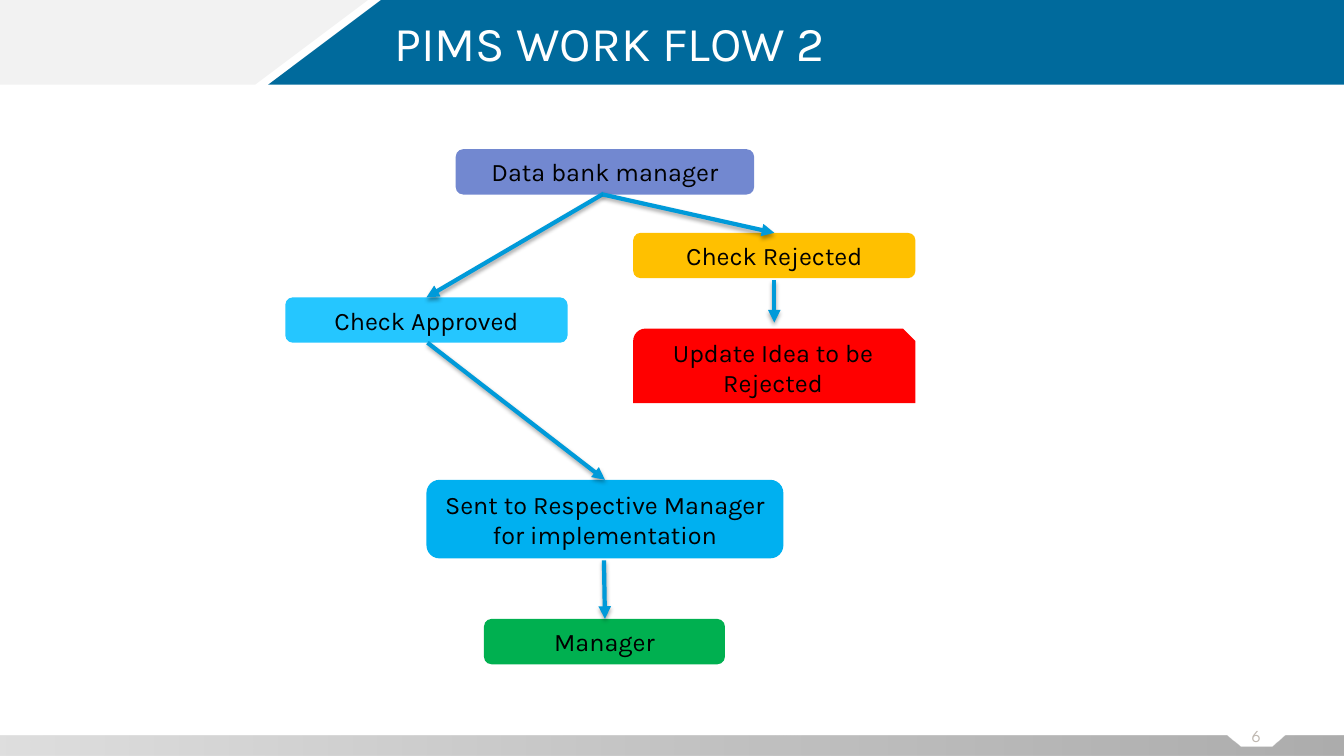
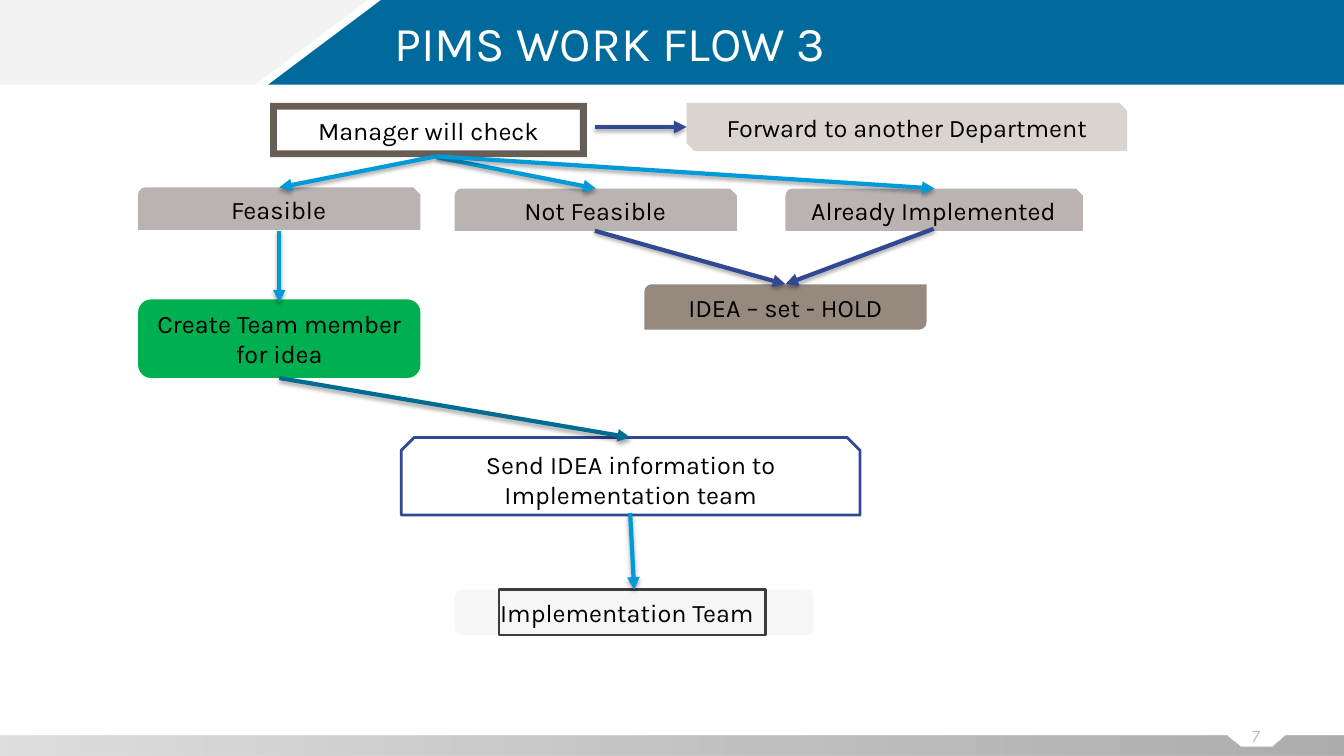
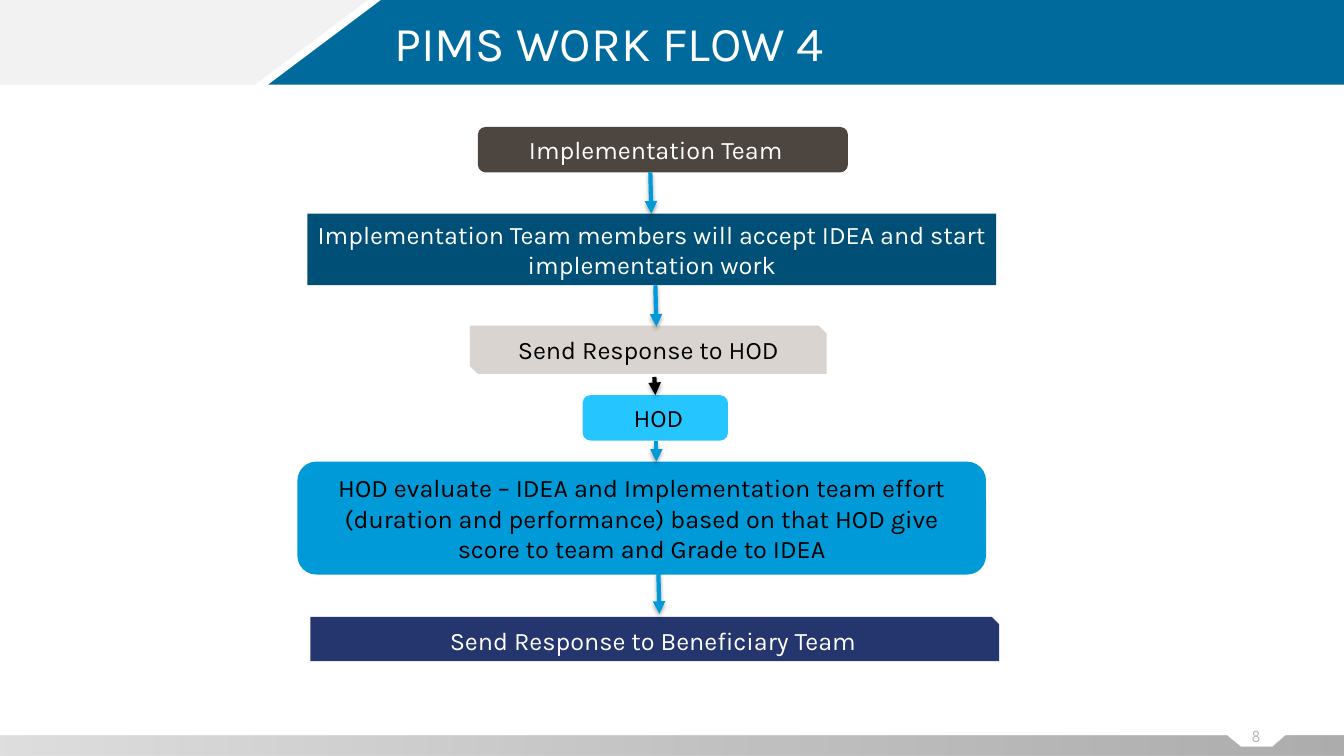
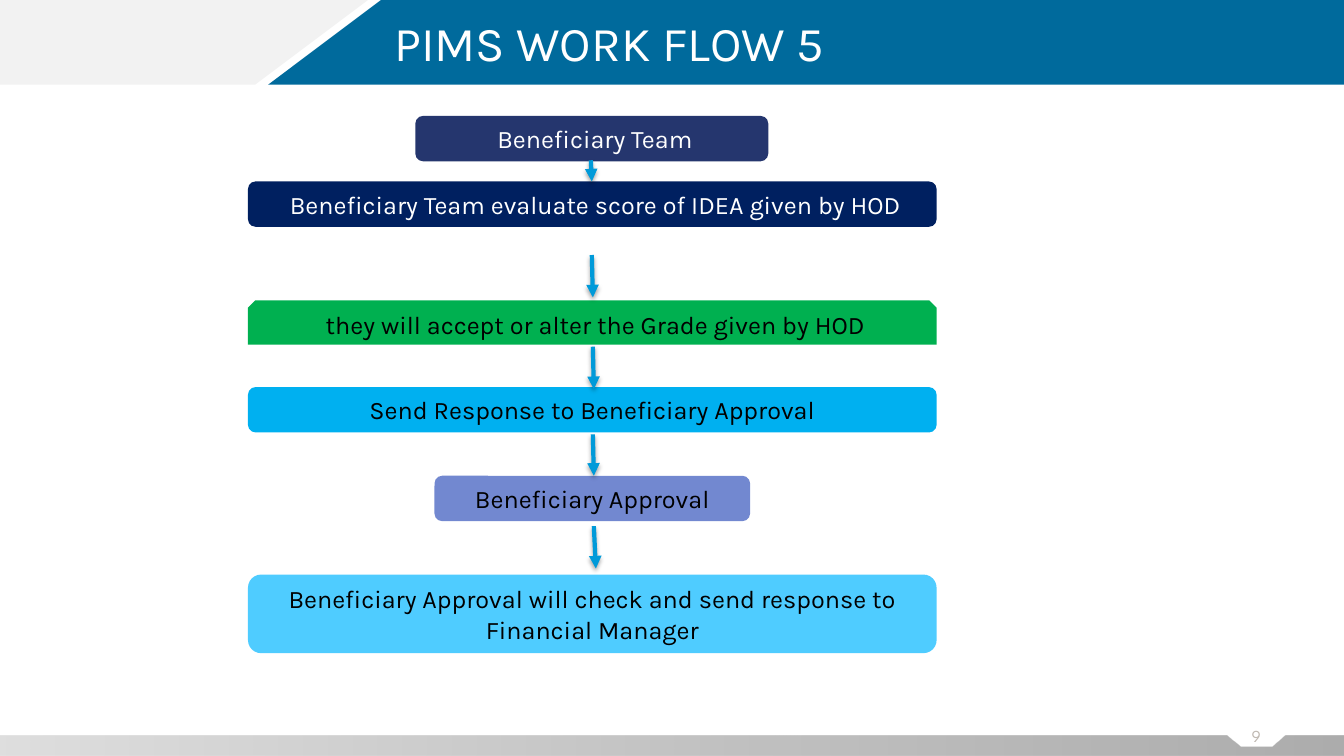
from dataclasses import dataclass

from pptx import Presentation
from pptx.dml.color import RGBColor
from pptx.enum.shapes import MSO_CONNECTOR, MSO_SHAPE as Preset
from pptx.enum.text import MSO_ANCHOR, MSO_AUTO_SIZE, PP_ALIGN
from pptx.oxml import parse_xml
from pptx.oxml.ns import nsdecls, qn
from pptx.util import Inches, Pt


@dataclass(frozen=True)
class Theme:
    body_font: str = "Karla"
    number_font: str = "League Spartan"
    title_size: float = 34.7
    body_size: float = 18
    number_size: float = 12
    arrow_width: float = 3
    outline_width: float = 2
    white: str = "FFFFFF"
    black: str = "000000"
    header: str = "006A9C"
    header_tab: str = "F2F2F2"
    number: str = "BFB8B1"
    footer_dark: str = "595959"
    footer_middle: str = "808080"
    footer_light: str = "BFBFBF"
    arrow: str = "009AD9"
    teal: str = "006C92"
    indigo: str = "314893"
    deep_indigo: str = "25366E"
    periwinkle: str = "7288D0"
    navy: str = "002060"
    deep_blue: str = "004F76"
    blue: str = "00B0F0"
    cyan: str = "25C6FF"
    pale_cyan: str = "4FCCFF"
    green: str = "00B050"
    amber: str = "FFC000"
    red: str = "FF0000"
    brown: str = "675E55"
    dark_brown: str = "4D4640"
    taupe: str = "968A7E"
    mauve: str = "BBB2B2"
    sand: str = "D9D4D0"
    mist: str = "F6F6F6"
    charcoal: str = "3C3C3C"


theme = Theme()


def add_box(page, preset, place, text, fill, color=theme.black, outline=None, nudge=0):
    box = page.shapes.add_shape(preset, *map(Inches, place))
    box.shadow.inherit = False
    if fill:
        box.fill.solid()
        box.fill.fore_color.rgb = RGBColor.from_string(fill)
    else:
        box.fill.background()
    if outline:
        box.line.color.rgb = RGBColor.from_string(outline)
        box.line.width = Pt(theme.outline_width)
    else:
        box.line.fill.background()
    if text:
        frame = box.text_frame
        frame.word_wrap = True
        frame.margin_left = Inches(0.1 + max(2 * nudge, 0))
        frame.margin_right = Inches(0.1 + max(-2 * nudge, 0))
        para = frame.paragraphs[0]
        para.alignment = PP_ALIGN.CENTER
        span = para.add_run()
        span.text = text
        span.font.name = theme.body_font
        span.font.size = Pt(theme.body_size)
        span.font.color.rgb = RGBColor.from_string(color)


def add_arrow(page, start, end, color=theme.arrow):
    arrow = page.shapes.add_connector(MSO_CONNECTOR.STRAIGHT, *map(Inches, start + end))
    arrow.line.color.rgb = RGBColor.from_string(color)
    arrow.line.width = Pt(theme.arrow_width)
    properties = arrow.element.spPr
    properties.find(qn("a:ln")).append(parse_xml(f'<a:tailEnd {nsdecls("a")} type="triangle"/>'))
    properties.append(parse_xml(
        f'<a:effectLst {nsdecls("a")}><a:outerShdw blurRad="{Pt(3.1)}" dist="{Pt(1.8)}" '
        f'dir="5400000" rotWithShape="0"><a:srgbClr val="{theme.black}">'
        '<a:alpha val="35000"/></a:srgbClr></a:outerShdw></a:effectLst>'))


flows = [
    {
        "title": "PIMS WORK FLOW 2",
        "boxes": [
            (Preset.ROUNDED_RECTANGLE, (4.52, 1.48, 2.96, 0.45), "Data bank manager", theme.periwinkle),
            (Preset.ROUNDED_RECTANGLE, (2.83, 2.95, 2.8, 0.45), "Check Approved", theme.cyan),
            (Preset.ROUNDED_RECTANGLE, (6.28, 2.31, 2.8, 0.45), "Check Rejected", theme.amber),
            (Preset.ROUNDED_RECTANGLE, (4.23, 4.76, 3.54, 0.78),
             "Sent to Respective Manager for implementation", theme.blue),
            (Preset.SNIP_ROUND_RECTANGLE, (6.28, 3.26, 2.8, 0.74), "Update Idea to be Rejected", theme.red),
            (Preset.ROUNDED_RECTANGLE, (4.8, 6.14, 2.39, 0.45), "Manager", theme.green),
        ],
        "arrows": [
            ((5.99, 1.92), (4.23, 2.95)),
            ((5.98, 1.93), (7.68, 2.31)),
            ((7.68, 2.78), (7.68, 3.2)),
            ((4.24, 3.4), (6, 4.76)),
            ((5.99, 5.56), (6, 6.14)),
        ],
    },
    {
        "title": "PIMS WORK FLOW 3",
        "boxes": [
            (Preset.FRAME, (2.68, 1.02, 3.14, 0.54), "Manager will check", theme.brown),
            (Preset.SNIP_ROUND_RECTANGLE, (1.37, 1.86, 2.8, 0.42), "Feasible", theme.mauve),
            (Preset.SNIP_ROUND_RECTANGLE, (4.51, 1.87, 2.8, 0.42), "Not Feasible", theme.mauve),
            (Preset.SNIP_ROUND_RECTANGLE, (7.79, 1.87, 2.95, 0.42), "Already Implemented", theme.mauve),
            (Preset.ROUND_2_DIAG_RECTANGLE, (6.39, 2.82, 2.8, 0.45), "IDEA – set - HOLD", theme.taupe),
            (Preset.ROUNDED_RECTANGLE, (1.37, 2.97, 2.8, 0.78), "Create Team member for idea", theme.green),
            (Preset.SNIP_2_SAME_RECTANGLE, (3.98, 4.34, 4.55, 0.77),
             "Send IDEA information to Implementation team", theme.white, theme.black, theme.indigo),
            (Preset.ROUNDED_RECTANGLE, (4.51, 5.85, 3.56, 0.45),
             "Implementation Team", theme.mist, theme.black, None, -0.07),
            (Preset.SNIP_2_DIAG_RECTANGLE, (6.81, 1.02, 4.37, 0.48), "Forward to another Department", theme.sand),
            (Preset.RECTANGLE, (4.95, 5.85, 2.64, 0.45), "", None, theme.black, theme.charcoal),
        ],
        "arrows": [
            ((5.9, 1.26), (6.81, 1.26), theme.indigo),
            ((4.33, 1.55), (2.77, 1.86)),
            ((4.33, 1.56), (5.91, 1.87)),
            ((4.33, 1.55), (9.27, 1.87)),
            ((2.77, 2.29), (2.77, 3)),
            ((5.9, 2.29), (7.79, 2.82), theme.indigo),
            ((9.26, 2.27), (7.79, 2.82), theme.indigo),
            ((2.77, 3.75), (6.25, 4.34), theme.teal),
            ((6.25, 5.09), (6.29, 5.85)),
        ],
    },
    {
        "title": "PIMS WORK FLOW 4",
        "boxes": [
            (Preset.RECTANGLE, (3.05, 2.12, 6.83, 0.71),
             "Implementation Team members will accept IDEA and start implementation work",
             theme.deep_blue, theme.white),
            (Preset.ROUNDED_RECTANGLE, (4.74, 1.26, 3.67, 0.45),
             "Implementation Team", theme.dark_brown, theme.white, None, -0.07),
            (Preset.SNIP_2_DIAG_RECTANGLE, (4.66, 3.23, 3.54, 0.48), "Send Response to HOD", theme.sand),
            (Preset.ROUNDED_RECTANGLE, (2.95, 4.58, 6.83, 1.12),
             "HOD evaluate – IDEA and Implementation team effort (duration and performance) "
             "based on that HOD give score to team and Grade to IDEA", theme.arrow),
            (Preset.SNIP_1_RECTANGLE, (3.08, 6.12, 6.83, 0.44),
             "Send Response to Beneficiary Team", theme.deep_indigo, theme.white),
            (Preset.ROUNDED_RECTANGLE, (5.78, 3.92, 1.44, 0.45), "HOD", theme.cyan, theme.black, None, 0.03),
        ],
        "arrows": [
            ((6.45, 1.71), (6.46, 2.12)),
            ((6.5, 2.83), (6.51, 3.24)),
            ((6.49, 3.74), (6.5, 3.92), theme.black),
            ((6.51, 4.38), (6.51, 4.58)),
            ((6.53, 5.68), (6.54, 6.09)),
        ],
    },
    {
        "title": "PIMS WORK FLOW 5",
        "boxes": [
            (Preset.ROUNDED_RECTANGLE, (4.12, 1.15, 3.5, 0.45),
             "Beneficiary Team", theme.deep_indigo, theme.white, None, 0.03),
            (Preset.ROUNDED_RECTANGLE, (2.46, 1.8, 6.83, 0.45),
             "Beneficiary Team evaluate score of IDEA given by HOD", theme.navy, theme.white, None, 0.03),
            (Preset.SNIP_2_SAME_RECTANGLE, (2.46, 2.98, 6.83, 0.44),
             "they will accept or alter the Grade given by HOD", theme.green, theme.black, None, 0.03),
            (Preset.ROUNDED_RECTANGLE, (2.46, 3.84, 6.83, 0.45),
             "Send Response to Beneficiary Approval", theme.blue),
            (Preset.ROUNDED_RECTANGLE, (4.31, 4.72, 3.13, 0.45), "Beneficiary Approval", theme.periwinkle),
            (Preset.ROUNDED_RECTANGLE, (2.46, 5.7, 6.83, 0.78),
             "Beneficiary Approval will check and send response to Financial Manager", theme.pale_cyan),
        ],
        "arrows": [
            ((5.86, 1.59), (5.87, 1.8)),
            ((5.87, 2.53), (5.88, 2.95)),
            ((5.88, 3.44), (5.89, 3.86)),
            ((5.88, 4.31), (5.89, 4.72)),
            ((5.89, 5.22), (5.91, 5.64)),
        ],
    },
]

deck = Presentation()
deck.slide_width = Inches(13.33)
deck.slide_height = Inches(7.5)
layout = deck.slide_layouts.get_by_name("Title Only")
pages = [deck.slides.add_slide(layout) for flow in flows]

bands = [
    (theme.header, [(3.78, 0), (13.33, 0), (13.33, 0.84), (2.66, 0.84)]),
    (theme.header_tab, [(0, 0), (3.65, 0), (2.53, 0.84), (0, 0.84)]),
    (theme.footer_middle, [(0, 7.3), (12.16, 7.3), (12.3, 7.41), (12.61, 7.41),
                           (12.74, 7.3), (13.33, 7.3), (13.33, 7.5), (0, 7.5)]),
]
for index, (fill, points) in enumerate(bands):
    corners = [(Inches(x), Inches(y)) for x, y in points]
    outline = pages[0].shapes.build_freeform(*corners[0])
    outline.add_line_segments(corners[1:], close=True)
    band = outline.convert_to_shape()
    band.shadow.inherit = False
    band.line.fill.background()
    band.fill.solid()
    band.fill.fore_color.rgb = RGBColor.from_string(fill)
    band.element.nvSpPr.cNvPr.set("id", str(20 + index))
    layout.shapes.element.append(band.element)

stops = "".join(
    f'<a:gs pos="{position * 1000}"><a:srgbClr val="{color}"><a:alpha val="50000"/></a:srgbClr></a:gs>'
    for position, color in [(0, theme.footer_dark), (42, theme.footer_middle), (100, theme.footer_light)])
footer_properties = band.element.spPr
footer_properties.replace(
    footer_properties.find(qn("a:solidFill")),
    parse_xml(f'<a:gradFill {nsdecls("a")} rotWithShape="1"><a:gsLst>{stops}</a:gsLst>'
              '<a:lin ang="10800000" scaled="0"/></a:gradFill>'))

for number, (page, flow) in enumerate(zip(pages, flows), start=6):
    title = page.shapes.title
    title.left, title.top, title.width, title.height = map(Inches, (3.91, 0.24, 8.63, 0.47))
    number_box = page.shapes.add_textbox(*map(Inches, (12.32, 7.2, 0.28, 0.2)))
    labels = [
        (title, flow["title"], PP_ALIGN.LEFT, 0.8, theme.body_font, theme.title_size, theme.white),
        (number_box, str(number), PP_ALIGN.CENTER, 1.0, theme.number_font, theme.number_size, theme.number),
    ]
    for box, text, alignment, spacing, font, size, color in labels:
        frame = box.text_frame
        frame.word_wrap = True
        frame.auto_size = MSO_AUTO_SIZE.NONE
        frame.vertical_anchor = MSO_ANCHOR.MIDDLE
        frame.margin_left = frame.margin_right = frame.margin_top = frame.margin_bottom = 0
        para = frame.paragraphs[0]
        para.alignment = alignment
        para.line_spacing = spacing
        span = para.add_run()
        span.text = text
        span.font.name = font
        span.font.size = Pt(size)
        span.font.color.rgb = RGBColor.from_string(color)
    for box in flow["boxes"]:
        add_box(page, *box)
    for arrow in flow["arrows"]:
        add_arrow(page, *arrow)

deck.save("out.pptx")
